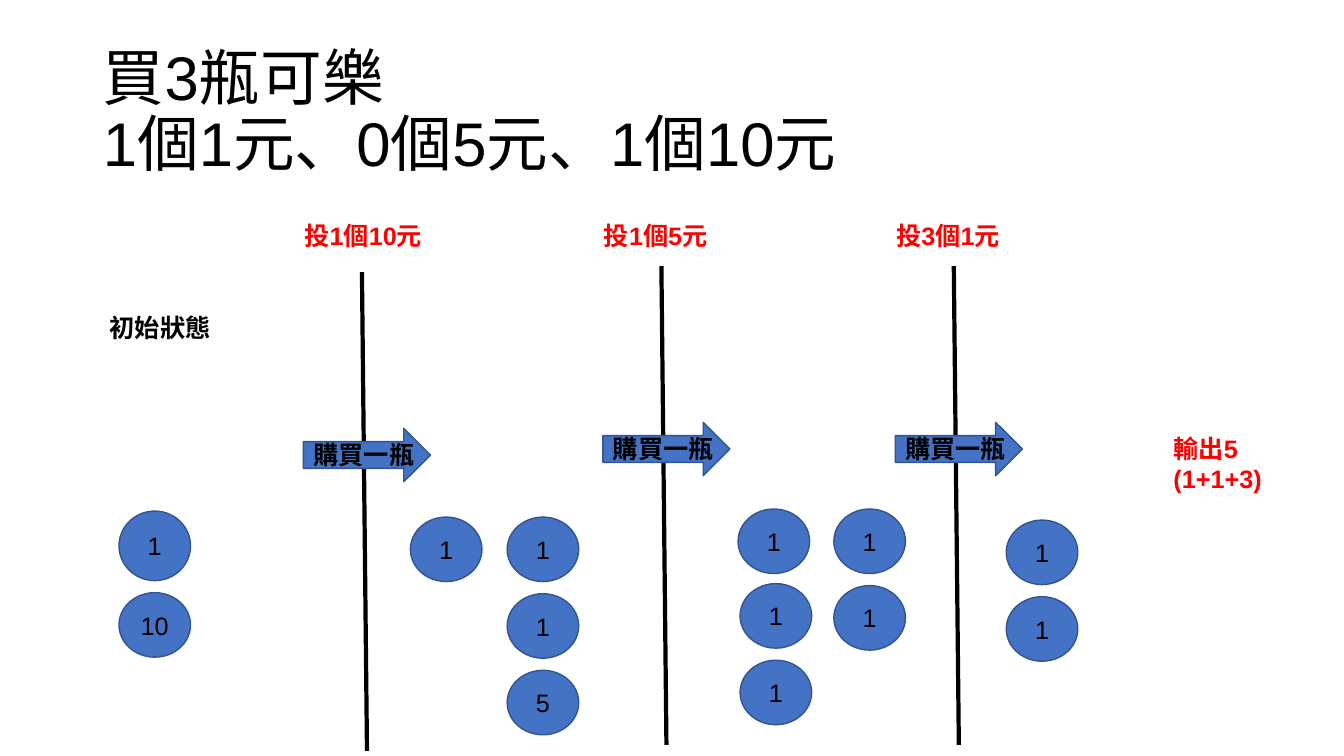
from dataclasses import dataclass

from lxml import etree
from pptx import Presentation, util as u
from pptx.dml.color import RGBColor
from pptx.enum import shapes, text

HUES = {"ink": "000000", "red": "FF0000", "blue": "4472C4", "edge": "325491"}
DRAW = "{http://schemas.openxmlformats.org/drawingml/2006/main}"
FONT = "Arial"
WIDE = 1.42  # width of every label
COIN = 0.71


@dataclass
class Step:
    x: float
    y: float
    label: str


@dataclass
class Pile:
    x: float
    y: float
    coins: list[int]
    gap: float = 0.76


STEPS = [
    Step(3.59, 2.7, "投1個10元"),
    Step(6.56, 2.64, "投1個5元"),
    Step(9.46, 2.64, "投3個1元"),
]
PILES = [
    Pile(1.18, 5.88, [10]),
    Pile(4.07, 5.13, [1]),
    Pile(5.03, 5.13, [1, 1, 5]),
    Pile(7.32, 5.05, [1]),
    Pile(7.34, 5.79, [1, 1]),
    Pile(8.27, 5.05, [1, 1]),
    Pile(9.98, 5.16, [1, 1]),
]


def hue(name: str) -> RGBColor:
    return RGBColor.from_string(HUES[name])


def box(x: float, y: float, w: float, h: float) -> list:
    return [u.Inches(n) for n in (x, y, w, h)]


def write(frame, words: str, *, size=18, color="ink", bold=False,
          align=text.PP_ALIGN.LEFT, anchor=text.MSO_ANCHOR.TOP, space=None) -> None:
    frame.word_wrap = True
    frame.vertical_anchor = anchor
    frame.text = words
    for para in frame.paragraphs:
        para.alignment = align
        if space:
            para.line_spacing = space
        for run in para.runs:
            run.font.name = FONT
            run.font.size = u.Pt(size)
            run.font.bold = bold
            run.font.color.rgb = hue(color)


def add_label(home, words: str, x: float, y: float, h: float = 0.4, color="ink") -> None:
    note = home.add_textbox(*box(x, y, WIDE, h))
    write(note.text_frame, words, color=color, bold=True)


def add_form(home, kind, x: float, y: float, w: float, h: float):
    """Add a blue preset shape with a thin dark edge."""
    form = home.add_shape(kind, *box(x, y, w, h))
    form.shadow.inherit = False
    form.fill.solid()
    form.fill.fore_color.rgb = hue("blue")
    form.line.color.rgb = hue("edge")
    form.line.width = u.Pt(1)
    return form


def add_coin(home, value: int, x: float, y: float, h: float = 0.64) -> None:
    coin = add_form(home, shapes.MSO_SHAPE.OVAL, x, y, COIN, h)
    write(coin.text_frame, str(value), align=text.PP_ALIGN.CENTER,
          anchor=text.MSO_ANCHOR.MIDDLE)


def add_step(home, step: Step) -> None:
    """Add a divider, the payment above it and the purchase arrow across it."""
    ends = box(step.x, step.y, step.x + 0.05, step.y + 4.75)
    rule = home.add_connector(shapes.MSO_CONNECTOR.STRAIGHT, *ends)
    rule.line.color.rgb = hue("ink")
    rule.line.width = u.Pt(3)
    etree.SubElement(rule._element.spPr, DRAW + "effectLst")

    left, top = step.x - 0.58, step.y + 1.55
    group = home.add_group_shape().shapes
    add_form(group, shapes.MSO_SHAPE.RIGHT_ARROW, left, top, 1.26, 0.53)
    add_label(group, "購買一瓶", left, top + 0.06)
    add_label(home, step.label, step.x - 0.67, 2.14, color="red")


def main() -> None:
    deck = Presentation()
    deck.slide_width, deck.slide_height = u.Inches(13.33), u.Inches(7.5)
    slide = deck.slides.add_slide(deck.slide_layouts[5])
    home = slide.shapes

    title = home.title
    title.left, title.top, title.width, title.height = box(0.92, 0.4, 11.5, 1.45)
    write(title.text_frame, "買3瓶可樂 \v1個1元、0個5元、1個10元", size=44,
          anchor=text.MSO_ANCHOR.MIDDLE, space=0.9)

    add_label(home, "初始狀態", 0.99, 3.05)
    for step in STEPS:
        add_step(home, step)
    add_coin(home, 1, 1.18, 5.07, h=0.69)
    for pile in PILES:
        for row, value in enumerate(pile.coins):
            add_coin(home, value, pile.x, pile.y + row * pile.gap)
    add_label(home, "輸出5\n(1+1+3)", 11.54, 4.25, h=0.71, color="red")

    deck.save("out.pptx")


if __name__ == "__main__":
    main()
